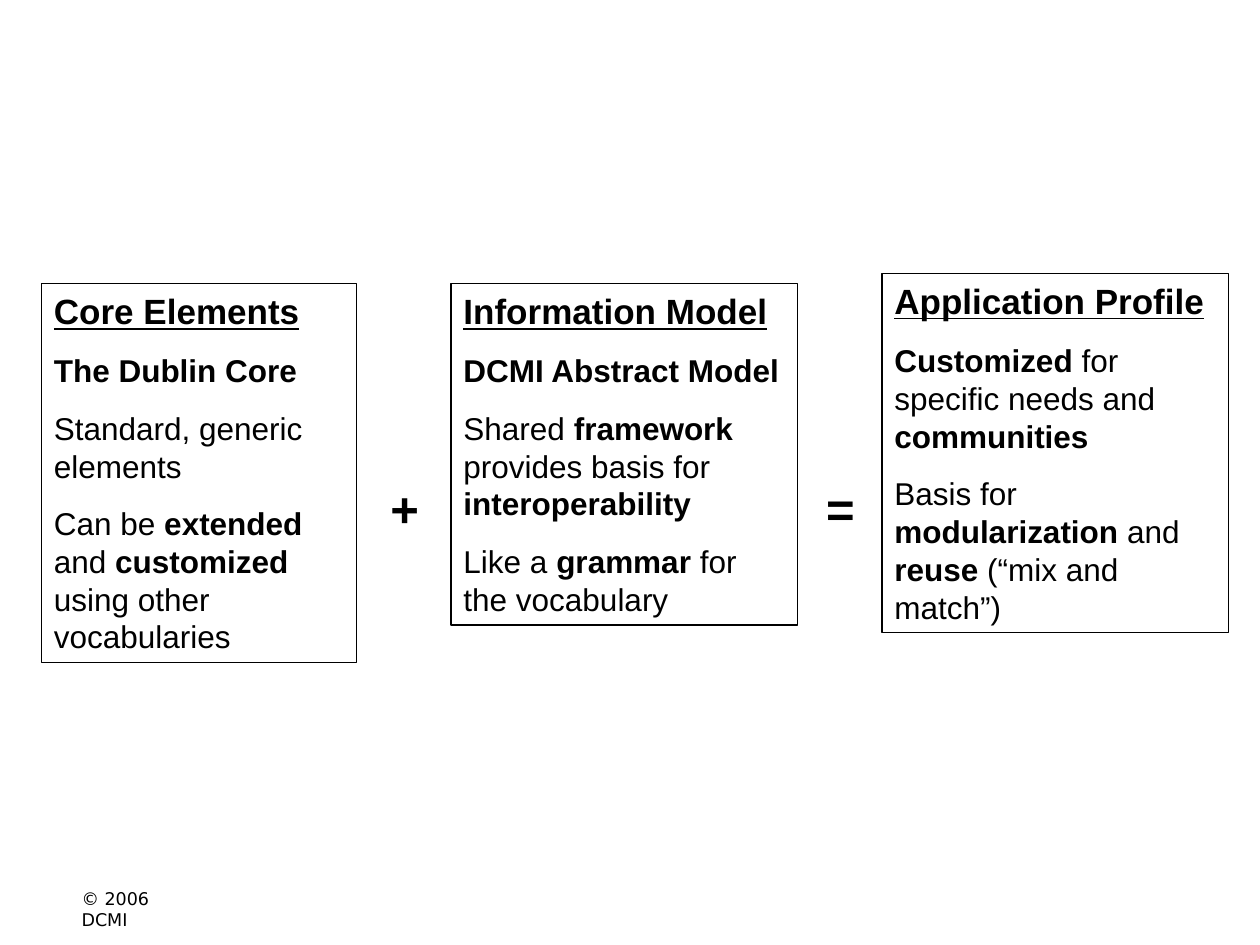
"""Build the slide: core elements plus information model equals application profile."""
from dataclasses import dataclass

import pptx
import pptx.dml.color
import pptx.enum.shapes
import pptx.enum.text
import pptx.util
from pptx.util import Inches


@dataclass(frozen=True)
class Theme:
    ink: pptx.dml.color.RGBColor = pptx.dml.color.RGBColor(0, 0, 0)
    font: str = "Arial"
    footer_font: str = "DejaVu Sans"
    operator: int = 28
    heading: int = 20
    body: int = 18
    footer: int = 10


theme = Theme()


def add_run(paragraph, text, size, bold=False, underline=False, font=theme.font):
    run = paragraph.add_run()
    run.text = text
    run.font.name = font
    run.font.size = pptx.util.Pt(size)
    run.font.bold = bold
    run.font.underline = underline
    run.font.color.rgb = theme.ink


def prepare(frame):
    frame.word_wrap = True
    frame.auto_size = pptx.enum.text.MSO_AUTO_SIZE.SHAPE_TO_FIT_TEXT
    frame.vertical_anchor = pptx.enum.text.MSO_ANCHOR.TOP
    frame.paragraphs[0].alignment = pptx.enum.text.PP_ALIGN.LEFT
    return frame


deck = pptx.Presentation()
deck.slide_width = Inches(10)
deck.slide_height = Inches(7.5)
slide = deck.slides.add_slide(deck.slide_layouts[6])

copyright_line = slide.shapes.add_textbox(Inches(0.55), Inches(7), Inches(1.06), Inches(0.27))
add_run(prepare(copyright_line.text_frame).paragraphs[0], "© 2006 DCMI",
        theme.footer, font=theme.footer_font)

for symbol, left, width in (("+", 3, 0.42), ("=", 6.42, 0.5)):
    operator = slide.shapes.add_textbox(Inches(left), Inches(3.75), Inches(width), Inches(0.57))
    sign = prepare(operator.text_frame).paragraphs[0]
    sign.alignment = pptx.enum.text.PP_ALIGN.CENTER
    add_run(sign, symbol, theme.operator, bold=True)

components = [
    ("Core Elements", (0.33, 2.25, 2.5, 3.01), [
        [("The Dublin Core", True)],
        [("Standard, generic elements", False)],
        [("Can be ", False), ("extended", True), (" and ", False),
         ("customized", True), (" using other vocabularies", False)],
    ]),
    ("Information Model", (3.58, 2.25, 2.75, 2.71), [
        [("DCMI Abstract Model", True)],
        [("Shared ", False), ("framework", True), (" provides basis for ", False),
         ("interoperability", True)],
        [("Like a ", False), ("grammar", True), (" for the vocabulary", False)],
    ]),
    ("Application Profile", (7, 2.17, 2.75, 2.85), [
        [("Customized ", True), ("for specific needs and ", False), ("communities", True)],
        [("Basis for ", False), ("modularization", True), (" and ", False),
         ("reuse", True), (" (“mix and match”)", False)],
    ]),
]

for heading, bounds, statements in components:
    component = slide.shapes.add_shape(
        pptx.enum.shapes.MSO_SHAPE.RECTANGLE, *(Inches(length) for length in bounds))
    component.shadow.inherit = False
    component.fill.background()
    component.line.color.rgb = theme.ink
    component.line.width = pptx.util.Pt(0.75)
    content = prepare(component.text_frame)
    add_run(content.paragraphs[0], heading, theme.heading, bold=True, underline=True)
    for statement in statements:
        paragraph = content.add_paragraph()
        paragraph.alignment = pptx.enum.text.PP_ALIGN.LEFT
        paragraph.space_before = pptx.util.Pt(11.2)
        for text, bold in statement:
            add_run(paragraph, text, theme.body, bold=bold)

deck.save("out.pptx")
